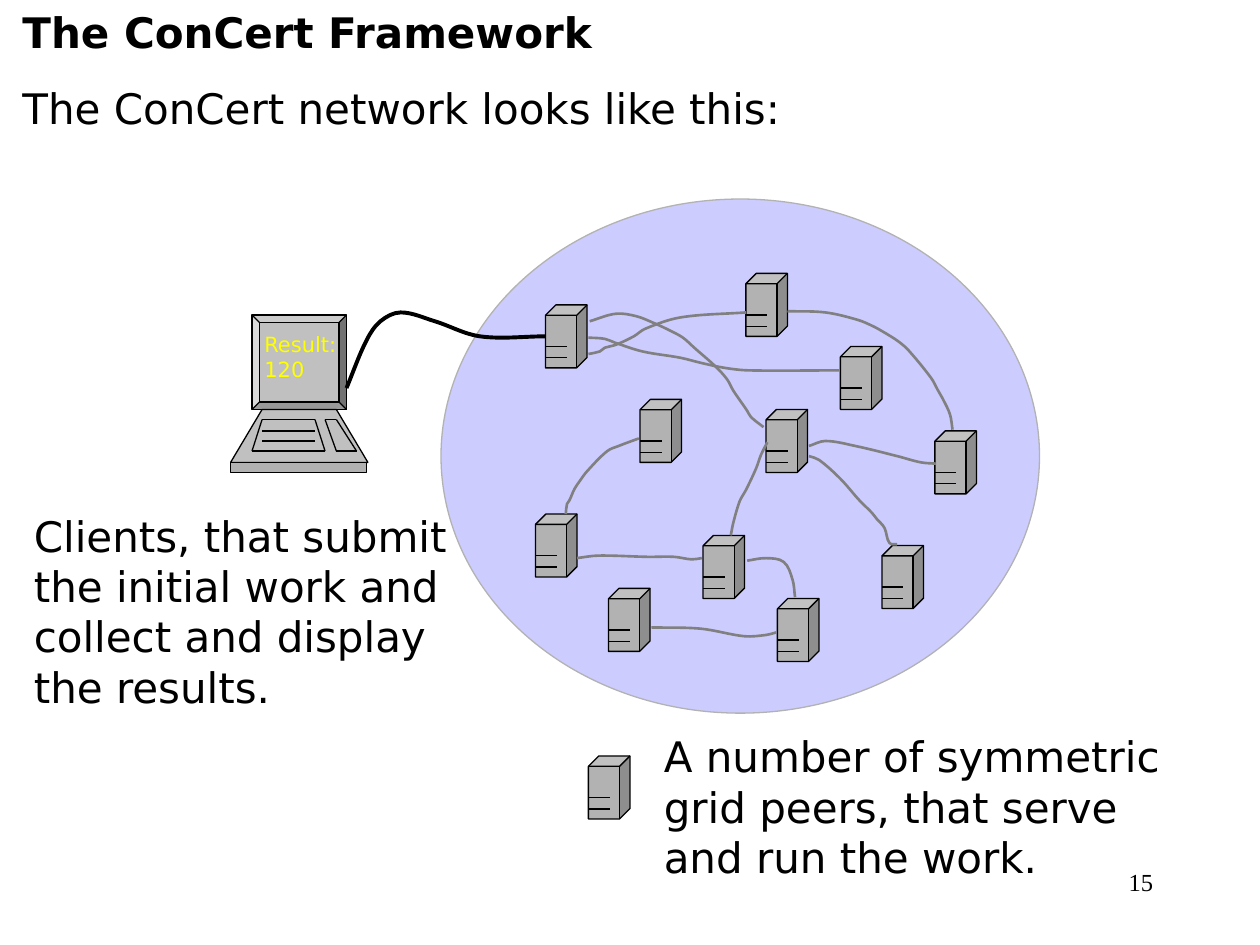
from dataclasses import dataclass
from itertools import pairwise
from math import hypot

from lxml.etree import SubElement
from pptx import Presentation
from pptx.dml.color import RGBColor
from pptx.enum.shapes import MSO_CONNECTOR, MSO_SHAPE
from pptx.enum.text import PP_ALIGN
from pptx.oxml.ns import qn
from pptx.util import Inches, Pt

Point = tuple[float, float]
BLACK, GRAY, SILVER, WIRE = "000000", "B2B2B2", "C0C0C0", "808080"


@dataclass(frozen=True)
class Peer:
    left: float
    top: float


@dataclass(frozen=True)
class Cable:
    points: tuple[Point, ...]
    color: str = WIRE
    width: float = 1.5


PEERS = [
    Peer(4.67, 6), Peer(4.25, 4.08), Peer(5.58, 4.25), Peer(6.67, 2.75),
    Peer(5.08, 3.17), Peer(7, 4.33), Peer(4.33, 2.42), Peer(5.92, 2.17),
    Peer(6.08, 3.25), Peer(7.42, 3.42), Peer(6.17, 4.75), Peer(4.83, 4.67),
]

CLIENT_CABLE = Cable(((2.75, 3.08), (2.91, 2.7), (3.02, 2.55), (3.18, 2.48),
                      (3.45, 2.55), (3.81, 2.67), (4.33, 2.67)), BLACK, 2.25)

PEER_CABLES = [
    Cable(((4.68, 2.55), (4.89, 2.49), (5.05, 2.51), (5.18, 2.56), (5.31, 2.62),
           (5.42, 2.68), (5.51, 2.76), (5.68, 2.91), (5.77, 3.01), (5.82, 3.1),
           (5.93, 3.26), (5.96, 3.31), (6.06, 3.39))),
    Cable(((5.07, 3.48), (4.91, 3.54), (4.82, 3.58), (4.66, 3.74), (4.6, 3.82),
           (4.56, 3.88), (4.52, 3.97), (4.5, 4), (4.49, 4.08))),
    Cable(((4.58, 4.43), (4.75, 4.41), (5.14, 4.42), (5.35, 4.42), (5.49, 4.44),
           (5.57, 4.43))),
    Cable(((4.67, 2.68), (4.8, 2.69), (4.88, 2.72), (5.1, 2.79), (5.4, 2.84),
           (5.56, 2.88), (5.75, 2.92), (5.94, 2.94), (6.66, 2.94))),
    Cable(((5.17, 4.98), (5.56, 4.99), (5.91, 5.05), (6.08, 5.04), (6.16, 5.02))),
    Cable(((5.93, 4.45), (6.08, 4.43), (6.22, 4.46), (6.29, 4.6), (6.31, 4.74))),
    Cable(((6.09, 3.51), (6.04, 3.61), (6, 3.72), (5.92, 3.89), (5.87, 3.98),
           (5.82, 4.15), (5.8, 4.25))),
    Cable(((6.42, 3.54), (6.55, 3.5), (6.79, 3.54), (7.12, 3.62), (7.31, 3.67),
           (7.43, 3.68))),
    Cable(((6.42, 3.62), (6.5, 3.65), (6.67, 3.8), (6.82, 3.97), (6.92, 4.07),
           (6.96, 4.12), (7.02, 4.19), (7.06, 4.31), (7.12, 4.32))),
    Cable(((4.67, 2.81), (4.76, 2.79), (4.8, 2.76), (4.88, 2.74), (5.03, 2.67),
           (5.12, 2.61), (5.4, 2.52), (5.92, 2.48))),
    Cable(((6.25, 2.47), (6.55, 2.48), (6.81, 2.54), (6.93, 2.59), (7.02, 2.64),
           (7.13, 2.71), (7.21, 2.78), (7.39, 3), (7.44, 3.09), (7.49, 3.18),
           (7.54, 3.29), (7.56, 3.41))),
]

KEYBOARD_OUTLINES = [
    ((2, 3.58), (2.08, 3.33), (2.5, 3.33), (2.58, 3.58), (2, 3.58)),
    ((2.58, 3.33), (2.67, 3.58), (2.83, 3.58), (2.67, 3.33), (2.58, 3.33)),
    ((2.08, 3.5), (2.5, 3.5)),
    ((2.08, 3.42), (2.5, 3.42)),
]


def rgb(color: str) -> RGBColor:
    return RGBColor.from_string(color)


def style(shape, *, fill: str | None, line: str = BLACK, width: float = 0.75) -> None:
    shape.shadow.inherit = False
    if fill:
        shape.fill.solid()
        shape.fill.fore_color.rgb = rgb(fill)
    else:
        shape.fill.background()
    shape.line.color.rgb = rgb(line)
    shape.line.width = Pt(width)


def add_preset(slide, kind, left: float, top: float, width: float, height: float,
               *, fill: str, line: str = BLACK):
    shape = slide.shapes.add_shape(
        kind, Inches(left), Inches(top), Inches(width), Inches(height))
    style(shape, fill=fill, line=line)
    return shape


def add_lines(slide, points: tuple[Point, ...]) -> None:
    """Join consecutive points with thin black connectors."""
    for start, end in pairwise(points):
        connector = slide.shapes.add_connector(
            MSO_CONNECTOR.STRAIGHT, *map(Inches, start + end))
        connector.line.color.rgb = rgb(BLACK)
        connector.line.width = Pt(0.75)
        SubElement(connector._element.spPr, qn("a:effectLst"))


def add_freeform(slide, points: tuple[Point, ...], *, closed: bool):
    corners = [(Inches(x), Inches(y)) for x, y in points]
    builder = slide.shapes.build_freeform(*corners[0])
    builder.add_line_segments(corners[1:], close=closed)
    return builder.convert_to_shape()


def add_cable(slide, cable: Cable) -> None:
    """Draw a smooth curve through the points of the cable."""
    shape = add_freeform(slide, cable.points, closed=False)
    style(shape, fill=None, line=cable.color, width=cable.width)
    knots = [(int(point.get("x")), int(point.get("y")))
             for point in shape._element.iter(qn("a:pt"))]
    tangents = []
    for index in range(len(knots)):
        before, after = knots[max(index - 1, 0)], knots[min(index + 1, len(knots) - 1)]
        run, rise = after[0] - before[0], after[1] - before[1]
        length = hypot(run, rise)
        tangents.append((run / length, rise / length))
    segments = list(shape._element.iter(qn("a:lnTo")))
    for index, segment in enumerate(segments):
        start, end = knots[index], knots[index + 1]
        reach = hypot(end[0] - start[0], end[1] - start[1]) / 3
        controls = [
            [place + reach * slope for place, slope in zip(start, tangents[index])],
            [place - reach * slope for place, slope in zip(end, tangents[index + 1])],
        ]
        segment.tag = qn("a:cubicBezTo")
        for position, (x, y) in enumerate(controls):
            point = SubElement(segment, qn("a:pt"), x=str(round(x)), y=str(round(y)))
            segment.insert(position, point)


def add_peer(slide, peer: Peer) -> None:
    add_preset(slide, MSO_SHAPE.CUBE, peer.left, peer.top, 0.33, 0.5, fill=GRAY)
    for drop in (0.42, 0.33):
        height = peer.top + drop
        add_lines(slide, ((peer.left, height), (peer.left + 0.17, height)))


def add_text(slide, text: str, left: float, top: float, width: float, height: float,
             *, size: float = 24, font: str = "DejaVu Sans", color: str = BLACK,
             align=PP_ALIGN.LEFT, bold_first: bool = False) -> None:
    box = slide.shapes.add_textbox(
        Inches(left), Inches(top), Inches(width), Inches(height))
    frame = box.text_frame
    frame.word_wrap = True
    frame.text = text
    for index, paragraph in enumerate(frame.paragraphs):
        paragraph.alignment = align
        if index:
            paragraph.space_before = Pt(15)
        paragraph.font.size = Pt(size)
        paragraph.font.name = font
        paragraph.font.bold = bold_first and index == 0
        paragraph.font.color.rgb = rgb(color)


def add_client(slide) -> None:
    screen = add_preset(slide, MSO_SHAPE.BEVEL, 2, 2.5, 0.75, 0.75, fill=SILVER)
    screen.adjustments[0] = 0.08
    add_text(slide, "Result: 120", 2, 2.58, 0.83, 0.5, size=12, color="FFFF00")
    keyboard = add_freeform(
        slide, ((1.83, 3.67), (2.92, 3.67), (2.67, 3.25), (2.08, 3.25)), closed=True)
    style(keyboard, fill=SILVER)
    add_preset(slide, MSO_SHAPE.RECTANGLE, 1.83, 3.67, 1.08, 0.08, fill=GRAY)
    for outline in KEYBOARD_OUTLINES:
        add_lines(slide, outline)


def main() -> None:
    presentation = Presentation()
    presentation.slide_width, presentation.slide_height = Inches(10), Inches(7.5)
    slide = presentation.slides.add_slide(presentation.slide_layouts[6])
    add_text(slide, "The ConCert Framework\nThe ConCert network looks like this:",
             0.08, 0, 9.67, 1.11, bold_first=True)
    add_preset(slide, MSO_SHAPE.OVAL, 3.5, 1.58, 4.75, 4.08, fill="CCCCFF", line=GRAY)
    for peer in PEERS:
        add_peer(slide, peer)
    add_text(slide, "A number of symmetric grid peers, that serve and run the work.",
             5.17, 5.75, 4.33, 1.3)
    add_client(slide)
    add_cable(slide, CLIENT_CABLE)
    add_text(slide, "Clients, that submit the initial work and collect and display "
             "the results.", 0.17, 4, 3.58, 1.7)
    for cable in PEER_CABLES:
        add_cable(slide, cable)
    add_text(slide, "15", 7.17, 6.83, 2.08, 0.5, size=14, font="Times New Roman",
             align=PP_ALIGN.RIGHT)
    presentation.save("out.pptx")


if __name__ == "__main__":
    main()
